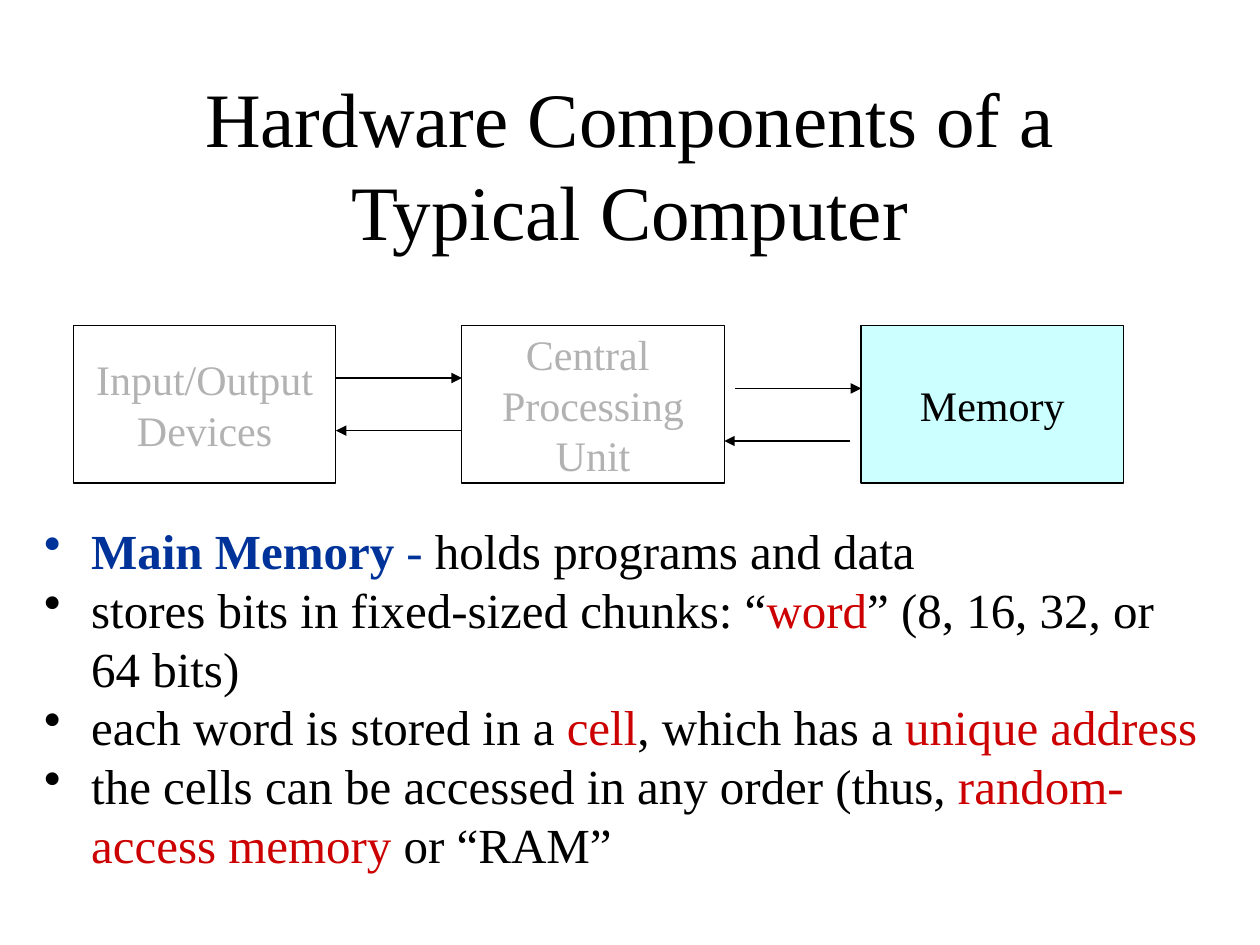
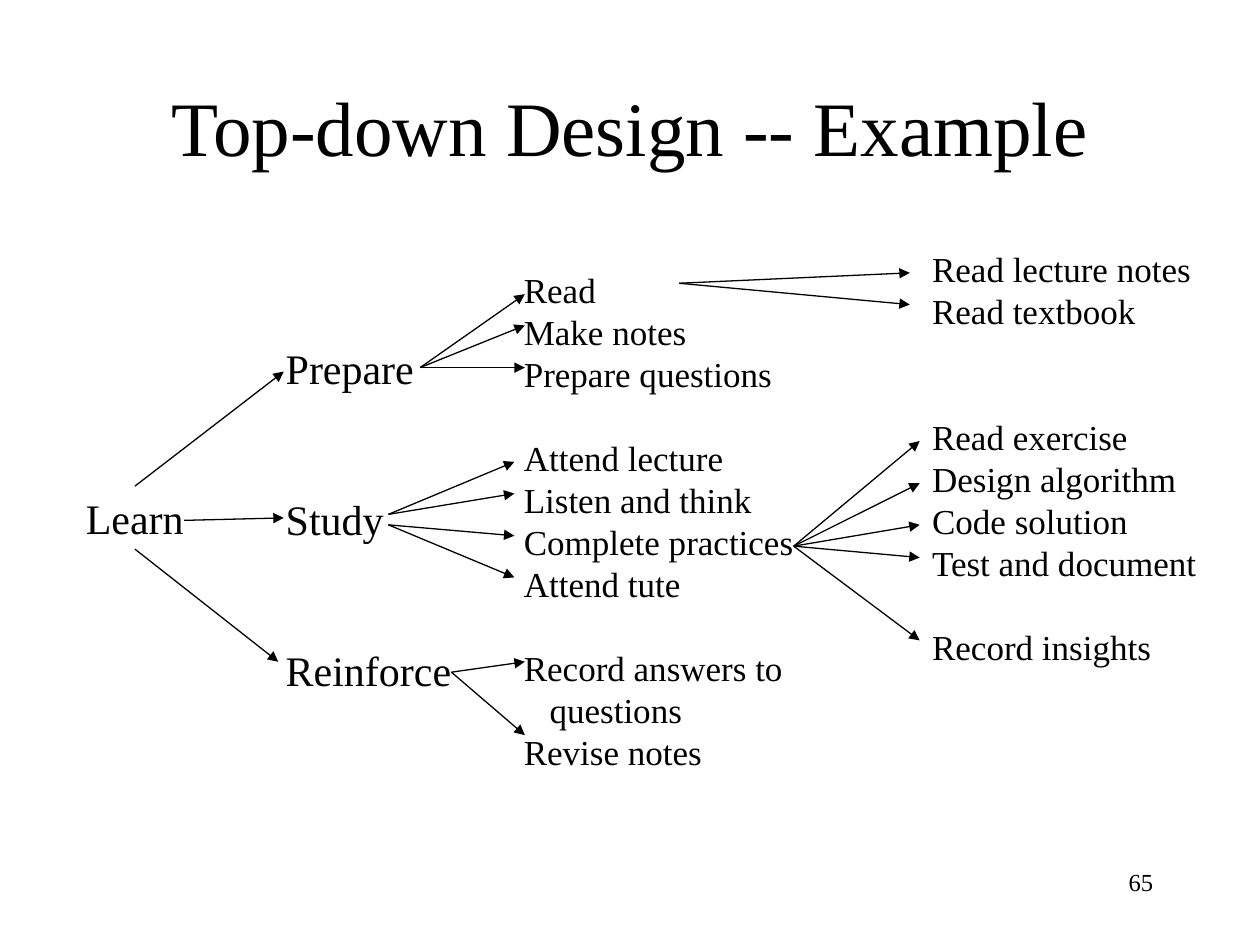
from dataclasses import dataclass

from lxml import etree
from pptx import Presentation
from pptx.dml.color import RGBColor
from pptx.enum.shapes import MSO_CONNECTOR, MSO_SHAPE
from pptx.enum.text import MSO_ANCHOR, MSO_AUTO_SIZE, PP_ALIGN
from pptx.oxml.ns import qn
from pptx.util import Cm, Pt

LEFT, CENTER, RIGHT = PP_ALIGN.LEFT, PP_ALIGN.CENTER, PP_ALIGN.RIGHT
TOP, MIDDLE = MSO_ANCHOR.TOP, MSO_ANCHOR.MIDDLE
NO_FIT, GROW = MSO_AUTO_SIZE.NONE, MSO_AUTO_SIZE.SHAPE_TO_FIT_TEXT
RECTANGLE, STRAIGHT = MSO_SHAPE.RECTANGLE, MSO_CONNECTOR.STRAIGHT
TITLE_ONLY = 5


@dataclass(frozen=True)
class Theme:
    font: str = "Times New Roman"
    ink: str = "000000"
    paper: str = "FFFFFF"
    faded: str = "B2B2B2"
    highlight: str = "CCFFFF"
    term: str = "003399"
    keyword: str = "CC0000"
    title_size: int = 44
    bullet_size: int = 28
    node_size: int = 24
    step_size: int = 20
    number_size: int = 14
    line_width: float = 0.75
    leading: float = 1.2


THEME = Theme()


def apply(target, formats):
    for attribute, value in formats.items():
        setattr(target, attribute, value)


def write(paragraph, pieces, size, align=LEFT):
    """Fill a paragraph from (text, colour, bold) pieces."""
    apply(paragraph, {"alignment": align, "line_spacing": Pt(size * THEME.leading),
                      "space_before": Pt(0), "space_after": Pt(0)})
    for text, color, bold in pieces:
        run = paragraph.add_run()
        run.text = text
        apply(run.font, {"name": THEME.font, "size": Pt(size), "bold": bold})
        run.font.color.rgb = RGBColor.from_string(color)


def paragraphs(frame, count):
    return [frame.paragraphs[0]] + [frame.add_paragraph() for _ in range(count - 1)]


def hang(paragraph, indent, bullet=None):
    properties = paragraph._p.get_or_add_pPr()
    properties.set("marL", str(Cm(indent)))
    properties.set("indent", str(-Cm(indent)))
    if bullet:
        etree.SubElement(properties, qn("a:buChar")).set("char", bullet)


def add_title_slide(deck, title, top, height):
    slide = deck.slides.add_slide(deck.slide_layouts[TITLE_ONLY])
    heading = slide.shapes.title
    apply(heading, {"left": Cm(1.9), "top": Cm(top), "width": Cm(21.6), "height": Cm(height)})
    apply(heading.text_frame, {"word_wrap": True, "auto_size": NO_FIT, "vertical_anchor": MIDDLE})
    write(heading.text_frame.paragraphs[0], [(title, THEME.ink, False)], THEME.title_size, CENTER)
    return slide


def add_text_frame(slide, place, wrap=True, fit=NO_FIT):
    frame = slide.shapes.add_textbox(*map(Cm, place)).text_frame
    apply(frame, {"word_wrap": wrap, "auto_size": fit, "vertical_anchor": TOP})
    return frame


def add_component(slide, place, lines, fill, color):
    component = slide.shapes.add_shape(RECTANGLE, *map(Cm, place))
    component.shadow.inherit = False
    component.fill.solid()
    component.fill.fore_color.rgb = RGBColor.from_string(fill)
    component.line.color.rgb = RGBColor.from_string(THEME.ink)
    component.line.width = Pt(THEME.line_width)
    frame = component.text_frame
    apply(frame, {"word_wrap": True, "vertical_anchor": MIDDLE})
    for paragraph, line in zip(paragraphs(frame, len(lines)), lines):
        write(paragraph, [(line, color, False)], THEME.node_size, CENTER)


def add_arrow(slide, start, end):
    arrow = slide.shapes.add_connector(STRAIGHT, *map(Cm, (*start, *end)))
    arrow.line.color.rgb = RGBColor.from_string(THEME.ink)
    arrow.line.width = Pt(THEME.line_width)
    etree.SubElement(arrow.line._get_or_add_ln(), qn("a:tailEnd")).set("type", "triangle")
    etree.SubElement(arrow._element.spPr, qn("a:effectLst"))


def add_fan(slide, start, end_x, end_ys):
    for end_y in end_ys:
        add_arrow(slide, start, (end_x, end_y))


def add_bullets(slide, place, items):
    frame = add_text_frame(slide, place)
    for paragraph, pieces in zip(paragraphs(frame, len(items)), items):
        write(paragraph, pieces, THEME.bullet_size)
        hang(paragraph, 0.95, "•")


def add_level(slide, place, groups, size, gaps=(), indent=0, wrap=True):
    """List the groups of one design level; gaps are the empty rows between groups."""
    frame = add_text_frame(slide, place, wrap, GROW)
    rows = [(step, gap if index == 0 else 0)
            for group, gap in zip(groups, (0, *gaps))
            for index, step in enumerate(group)]
    for paragraph, (step, gap) in zip(paragraphs(frame, len(rows)), rows):
        write(paragraph, [(step, THEME.ink, False)], size)
        paragraph.space_before = Pt(gap * size * THEME.leading)
        hang(paragraph, indent)


def add_page_number(slide, number):
    frame = add_text_frame(slide, (18.2, 17.36, 5.3, 1.27))
    write(frame.paragraphs[0], [(number, THEME.ink, False)], THEME.number_size, RIGHT)


def build_hardware(deck):
    slide = add_title_slide(deck, "Hardware Components of a Typical Computer", 1.7, 3.18)

    def plain(text):
        return text, THEME.ink, False

    def key(text):
        return text, THEME.keyword, False

    add_bullets(slide, (0.64, 10.37, 23.92, 7.83), [
        [("Main Memory", THEME.term, True), (" - ", THEME.term, False),
         plain("holds programs and data")],
        [plain("stores bits in fixed-sized chunks: “"), key("word"),
         plain("” (8, 16, 32, or 64 bits)")],
        [plain("each word is stored in a "), key("cell"), plain(", which has a "),
         key("unique address")],
        [plain("the cells can be accessed in any order (thus, "),
         key("random-access memory"), plain(" or “RAM”")],
    ])
    components = [
        (1.48, ["Input/Output", "Devices"], THEME.paper, THEME.faded),
        (9.31, ["Central ", "Processing", "Unit"], THEME.paper, THEME.faded),
        (17.36, ["Memory"], THEME.highlight, THEME.ink),
    ]
    for left, lines, fill, color in components:
        add_component(slide, (left, 6.56, 5.29, 3.18), lines, fill, color)
    for start_x, end_x, y in [(6.77, 9.31, 7.62), (14.82, 17.36, 7.83),
                              (9.31, 6.77, 8.68), (17.14, 14.6, 8.89)]:
        add_arrow(slide, (start_x, y), (end_x, y))


def build_top_down_design(deck):
    slide = add_title_slide(deck, "Top-down Design -- Example", 1.27, 2.54)
    add_page_number(slide, "65")

    add_level(slide, (1.48, 9.8, 2.49, 1.27), [["Learn"]], THEME.node_size, wrap=False)
    add_level(slide, (5.51, 6.78, 3.84, 7.37), [["Prepare"], ["Study"], ["Reinforce"]],
              THEME.node_size, gaps=(2, 2), wrap=False)
    add_level(slide, (10.31, 5.28, 6.35, 10.41), [
        ["Read", "Make notes", "Prepare questions"],
        ["Attend lecture", "Listen and think", "Complete practices", "Attend tute"],
        ["Record answers to questions", "Revise notes"],
    ], THEME.step_size, gaps=(1, 1), indent=0.52)
    add_level(slide, (18.54, 4.87, 6.35, 8.72), [
        ["Read lecture notes", "Read textbook"],
        ["Read exercise", "Design algorithm", "Code solution", "Test and document"],
        ["Record insights"],
    ], THEME.step_size, gaps=(2, 1), indent=0.52)

    learn_arrows = [((2.72, 9.8), (5.72, 7.49)), ((2.72, 11.07), (5.61, 13.34)),
                    ((3.71, 10.49), (5.72, 10.44))]
    for start, end in learn_arrows:
        add_arrow(slide, start, end)
    fans = [
        ((8.47, 7.41), 10.58, (5.93, 6.56, 7.41)),
        ((7.83, 10.37), 10.37, (9.31, 9.95)),
        ((7.83, 10.58), 10.37, (10.8, 11.64)),
        ((9.1, 13.55), 10.58, (13.34, 14.82)),
        ((13.69, 5.71), 18.34, (5.5, 6.14)),
        ((16, 11.01), 18.54, (8.89, 9.74, 10.58, 11.24, 12.91)),
    ]
    for start, end_x, end_ys in fans:
        add_fan(slide, start, end_x, end_ys)


def main():
    deck = Presentation()
    apply(deck, {"slide_width": Cm(25.4), "slide_height": Cm(19.05)})
    build_hardware(deck)
    build_top_down_design(deck)
    deck.save("out.pptx")


if __name__ == "__main__":
    main()
